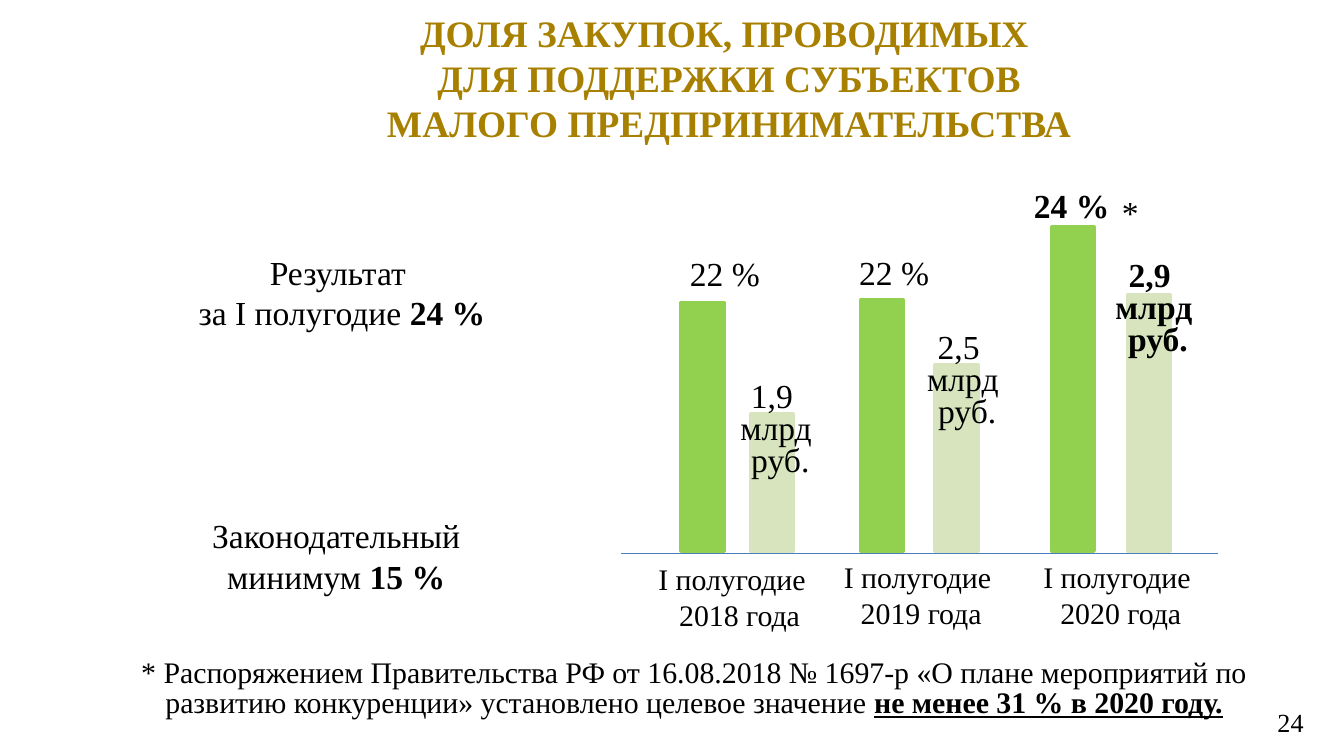
from dataclasses import dataclass

from lxml import etree
from pptx import Presentation
from pptx.dml.color import RGBColor
from pptx.enum.shapes import MSO_CONNECTOR, MSO_SHAPE
from pptx.enum.text import MSO_ANCHOR, MSO_AUTO_SIZE, PP_ALIGN
from pptx.oxml.ns import qn
from pptx.util import Pt

LEFT, CENTER, RIGHT = PP_ALIGN.LEFT, PP_ALIGN.CENTER, PP_ALIGN.RIGHT
MIDDLE = MSO_ANCHOR.MIDDLE
FIT_SHAPE, NO_FIT = MSO_AUTO_SIZE.SHAPE_TO_FIT_TEXT, MSO_AUTO_SIZE.NONE
RECTANGLE, STRAIGHT = MSO_SHAPE.RECTANGLE, MSO_CONNECTOR.STRAIGHT
PX = 4572


@dataclass
class Theme:
    font: str = "Times New Roman"
    title: RGBColor = RGBColor(0xA8, 0x80, 0x00)
    text: RGBColor = RGBColor(0, 0, 0)
    share: RGBColor = RGBColor(0x92, 0xD0, 0x50)
    amount: RGBColor = RGBColor(0xD7, 0xE4, 0xBD)
    axis: RGBColor = RGBColor(0x4B, 0x7E, 0xBC)
    title_size: int = 20
    body_size: int = 18
    label_size: int = 16
    number_size: int = 14


theme = Theme()


def fill_text(frame, paragraphs, size, color=theme.text, bold=False, spacing=None):
    for index, (alignment, *runs) in enumerate(paragraphs):
        paragraph = frame.paragraphs[0] if index == 0 else frame.add_paragraph()
        paragraph.alignment = alignment
        paragraph.font.name = theme.font
        paragraph.font.size = Pt(size)
        paragraph.font.color.rgb = color
        paragraph.font.bold = bold
        if spacing:
            paragraph.line_spacing = Pt(spacing)
        for text in runs:
            if text == "\n":
                paragraph.add_line_break()
            else:
                paragraph.add_run().text = text


def add_text(box, paragraphs, size=theme.body_size, wrap=False, bold=False, spacing=None):
    frame = slide.shapes.add_textbox(*(value * PX for value in box)).text_frame
    frame.word_wrap = wrap
    frame.auto_size = FIT_SHAPE
    fill_text(frame, paragraphs, size, bold=bold, spacing=spacing)
    return frame


presentation = Presentation()
presentation.slide_width = 2000 * PX
presentation.slide_height = 1125 * PX
slide = presentation.slides.add_slide(presentation.slide_layouts[5])

title = slide.shapes.title
title.left, title.top, title.width, title.height = 156 * PX, 60 * PX, 1844 * PX, 110 * PX
title.text_frame.auto_size = NO_FIT
title.text_frame.vertical_anchor = MIDDLE
fill_text(
    title.text_frame,
    [
        (CENTER, "ДОЛЯ ЗАКУПОК, ПРОВОДИМЫХ", "\n", " ДЛЯ ПОДДЕРЖКИ СУБЪЕКТОВ"),
        (CENTER, " МАЛОГО ПРЕДПРИНИМАТЕЛЬСТВА"),
    ],
    theme.title_size,
    theme.title,
    bold=True,
)

page_number = add_text((1846, 1040, 108, 68), [(RIGHT, "24")], theme.number_size, wrap=True)
page_number.auto_size = NO_FIT
page_number.vertical_anchor = MIDDLE
page_number.margin_left = page_number.margin_right = 14 * PX
page_number.margin_top = page_number.margin_bottom = 8 * PX

minimum = add_text(
    (296, 757, 426, 142), [(LEFT, "Законодательный"), (CENTER, "минимум ", "15 %")]
)
result = add_text(
    (273, 365, 472, 142), [(CENTER, "Результат "), (CENTER, "за I полугодие ", "24 %")], wrap=True
)
footnote = add_text(
    (180, 972, 1706, 110),
    [(
        CENTER,
        "* Распоряжением Правительства РФ от 16.08.2018 № 1697-р «О плане мероприятий по "
        "развитию конкуренции» установлено целевое значение ",
        "не менее 31 % в 2020 году.",
    )],
    theme.label_size,
    wrap=True,
    spacing=16,
)
for frame in (minimum, result, footnote):
    frame.paragraphs[-1].runs[-1].font.bold = True
footnote.paragraphs[0].runs[-1].font.underline = True

axis = slide.shapes.add_connector(STRAIGHT, 924 * PX, 824 * PX, 1812 * PX, 824 * PX)
axis.line.color.rgb = theme.axis
axis.line.width = Pt(0.75)
etree.SubElement(axis._element.spPr, qn("a:effectLst"))

BAR_WIDTH, BAR_BOTTOM = 63, 820
periods = [
    ("2018", "22 %", "1,9 ", (1014, 450), (1117, 616),
     (960, 825, 270, 128), (1007, 366, 146, 80), (1081, 561, 148, 164)),
    ("2019", "22 %", "2,5 ", (1281, 446), (1392, 543),
     (1236, 822, 264, 128), (1259, 365, 146, 80), (1359, 488, 148, 164)),
    ("2020", "24 %", "2,9 ", (1565, 338), (1678, 439),
     (1533, 822, 264, 128), (1519, 266, 154, 80), (1639, 381, 156, 164)),
]
for year, share, amount, share_bar, amount_bar, year_box, share_box, amount_box in periods:
    for (left, top), color in ((share_bar, theme.share), (amount_bar, theme.amount)):
        bar = slide.shapes.add_shape(
            RECTANGLE, left * PX, top * PX, BAR_WIDTH * PX, (BAR_BOTTOM - top) * PX
        )
        bar.shadow.inherit = False
        bar.fill.solid()
        bar.fill.fore_color.rgb = color
        bar.line.color.rgb = color
        bar.line.width = Pt(2)
    latest = year == "2020"
    add_text(
        year_box,
        [(LEFT, "I полугодие"), (CENTER, f" {year} года")],
        theme.label_size,
        wrap=year == "2018",
    )
    add_text(share_box, [(LEFT, share)], bold=latest)
    add_text(
        amount_box,
        [(CENTER, amount), (CENTER, "млрд"), (CENTER, " руб.")],
        bold=latest,
        spacing=17,
    )

add_text((1650, 276, 66, 80), [(LEFT, "*")])

presentation.save("out.pptx")
